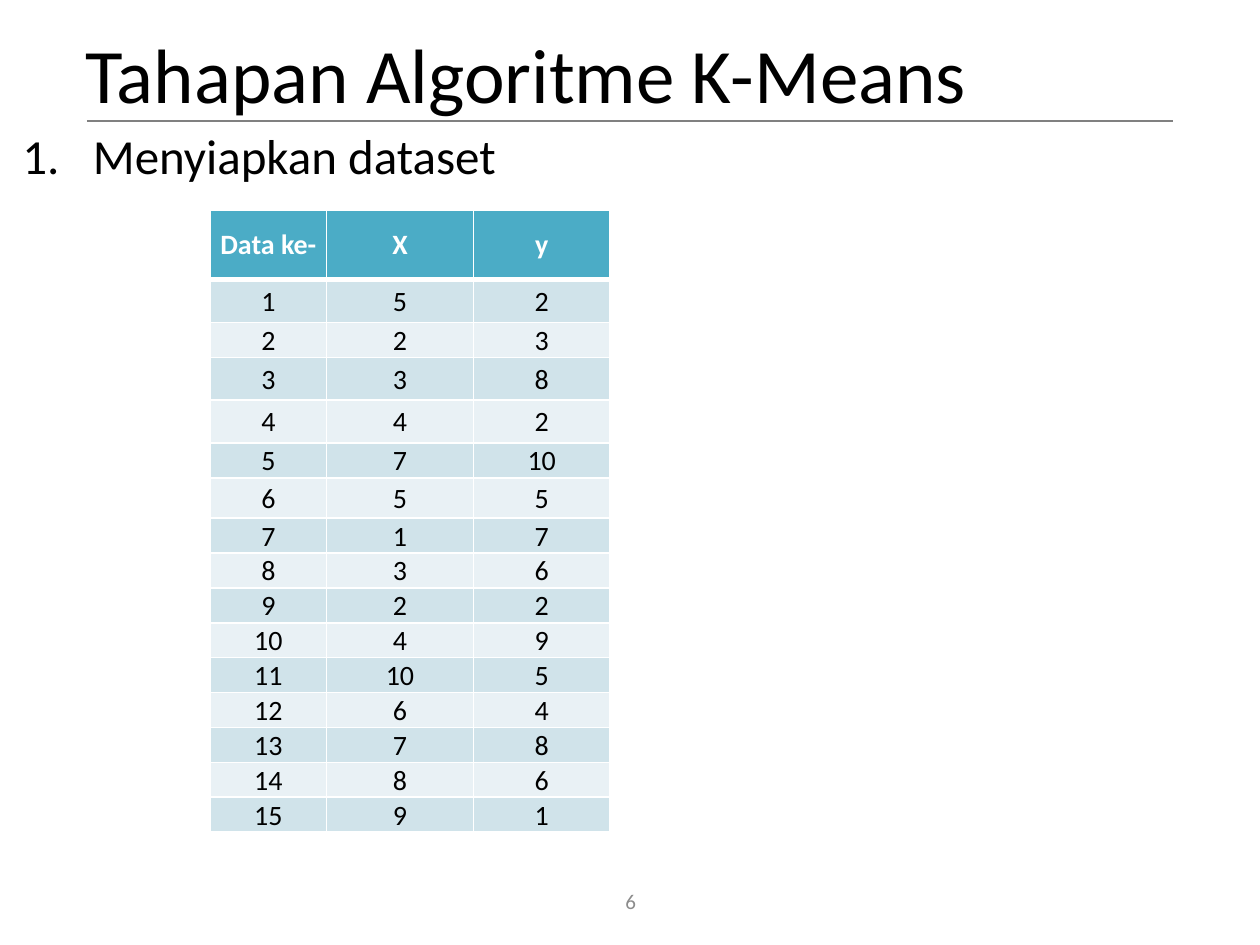
from dataclasses import dataclass

from lxml import etree
from pptx import Presentation
from pptx.dml.color import RGBColor
from pptx.enum.shapes import MSO_CONNECTOR
from pptx.enum.text import MSO_ANCHOR, PP_ALIGN
from pptx.oxml.ns import qn
from pptx.slide import Slide
from pptx.table import _Cell
from pptx.text.text import _Paragraph
from pptx.util import Inches, Pt

LEFT, CENTER = PP_ALIGN.LEFT, PP_ALIGN.CENTER
TOP, MIDDLE = MSO_ANCHOR.TOP, MSO_ANCHOR.MIDDLE
STRAIGHT = MSO_CONNECTOR.STRAIGHT

FONT = "Calibri"
COLORS = {
    "text": "000000",
    "page_number": "8C8C8C",
    "rule": "808080",
    "white": "FFFFFF",
    "header": "4BACC6",
    "odd_row": "D0E3EA",
    "even_row": "E9F1F5",
}

HEADINGS = ("Data ke-", "X", "y")
POINTS = (
    (5, 2), (2, 3), (3, 8), (4, 2), (7, 10),
    (5, 5), (1, 7), (3, 6), (2, 2), (4, 9),
    (10, 5), (6, 4), (7, 8), (8, 6), (9, 1),
)
COLUMN_WIDTHS = (0.92, 1.17, 1.08)
ROW_HEIGHT = 0.27
TALL_ROWS = {0: 0.55, 1: 0.34, 3: 0.34, 4: 0.34, 6: 0.32}


@dataclass(frozen=True)
class Label:
    text: str
    left: float
    top: float
    width: float
    height: float
    size: int
    color: str = "text"
    align: PP_ALIGN = LEFT
    anchor: MSO_ANCHOR = MIDDLE
    line_spacing: float = 1.0
    space_before: int = 0


@dataclass(frozen=True)
class CellStyle:
    fill: str
    color: str
    bold: bool
    inset: float
    bottom_border: int


HEADER_STYLE = CellStyle("header", "white", True, 0, 3)
ODD_STYLE = CellStyle("odd_row", "text", False, 0.01, 1)
EVEN_STYLE = CellStyle("even_row", "text", False, 0.01, 1)

TITLE = Label("Tahapan Algoritme K-Means", 0.58, 0, 9, 1.25, 44, line_spacing=0.9)
STEP = Label("Menyiapkan dataset", 0.08, 1, 9, 4.95, 28,
             anchor=TOP, line_spacing=0.9, space_before=10)
PAGE_NUMBER = Label("6", 3.88, 6.95, 2.25, 0.4, 12, "page_number", CENTER)


def rgb(name: str) -> RGBColor:
    return RGBColor.from_string(COLORS[name])


def style_paragraph(para: _Paragraph, size: int, color: str, align: PP_ALIGN,
                    bold: bool = False) -> None:
    para.alignment = align
    para.font.name = FONT
    para.font.size = Pt(size)
    para.font.bold = bold
    para.font.color.rgb = rgb(color)


def add_label(page: Slide, label: Label) -> _Paragraph:
    box = page.shapes.add_textbox(Inches(label.left), Inches(label.top),
                                  Inches(label.width), Inches(label.height))
    frame = box.text_frame
    frame.word_wrap = True
    frame.vertical_anchor = label.anchor
    para = frame.paragraphs[0]
    para.text = label.text
    para.line_spacing = label.line_spacing
    para.space_before = Pt(label.space_before)
    style_paragraph(para, label.size, label.color, label.align)
    return para


def number_paragraph(para: _Paragraph, indent: float) -> None:
    properties = para._p.get_or_add_pPr()
    properties.set("marL", str(Inches(indent)))
    properties.set("indent", str(-Inches(indent)))
    bullet = etree.Element(qn("a:buAutoNum"), type="arabicPeriod")
    properties.find(qn("a:defRPr")).addprevious(bullet)


def add_rule(page: Slide, left: float, right: float, top: float) -> None:
    rule = page.shapes.add_connector(STRAIGHT, Inches(left), Inches(top),
                                     Inches(right), Inches(top))
    rule.line.color.rgb = rgb("rule")
    rule.line.width = Pt(1)
    etree.SubElement(rule._element.spPr, qn("a:effectLst"))


def set_borders(cell: _Cell, bottom: int, top: int) -> None:
    properties = cell._tc.get_or_add_tcPr()
    widths = {"lnL": 1, "lnR": 1, "lnT": top, "lnB": bottom}
    for position, (side, width) in enumerate(widths.items()):
        border = etree.Element(qn(f"a:{side}"), w=str(Pt(width)))
        fill = etree.SubElement(border, qn("a:solidFill"))
        etree.SubElement(fill, qn("a:srgbClr"), val=COLORS["white"])
        properties.insert(position, border)


def fill_cell(cell: _Cell, text: str, style: CellStyle, top_border: int) -> None:
    cell.text = text
    cell.vertical_anchor = MIDDLE
    cell.margin_left = cell.margin_right = cell.margin_top = Inches(style.inset)
    cell.margin_bottom = 0
    cell.fill.solid()
    cell.fill.fore_color.rgb = rgb(style.fill)
    set_borders(cell, style.bottom_border, top_border)
    style_paragraph(cell.text_frame.paragraphs[0], 16, style.color, CENTER, style.bold)


def row_style(index: int) -> CellStyle:
    if index == 0:
        return HEADER_STYLE
    return ODD_STYLE if index % 2 else EVEN_STYLE


def add_dataset(page: Slide, left: float, top: float) -> None:
    rows = [HEADINGS] + [(number, *point) for number, point in enumerate(POINTS, 1)]
    heights = [TALL_ROWS.get(index, ROW_HEIGHT) for index in range(len(rows))]
    table = page.shapes.add_table(len(rows), len(HEADINGS), Inches(left), Inches(top),
                                  Inches(sum(COLUMN_WIDTHS)), Inches(sum(heights))).table
    table.horz_banding = False
    for column, width in zip(table.columns, COLUMN_WIDTHS):
        column.width = Inches(width)
    for index, (values, height) in enumerate(zip(rows, heights)):
        table.rows[index].height = Inches(height)
        top_border = HEADER_STYLE.bottom_border if index == 1 else 1
        for column, value in enumerate(values):
            fill_cell(table.cell(index, column), str(value), row_style(index), top_border)


def main() -> None:
    deck = Presentation()
    deck.slide_width, deck.slide_height = Inches(10), Inches(7.5)
    page = deck.slides.add_slide(deck.slide_layouts[6])
    add_label(page, PAGE_NUMBER)
    add_rule(page, 0.69, 9.31, 0.96)
    add_label(page, TITLE)
    number_paragraph(add_label(page, STEP), 0.56)
    add_dataset(page, 1.67, 1.67)
    deck.save("out.pptx")


if __name__ == "__main__":
    main()
